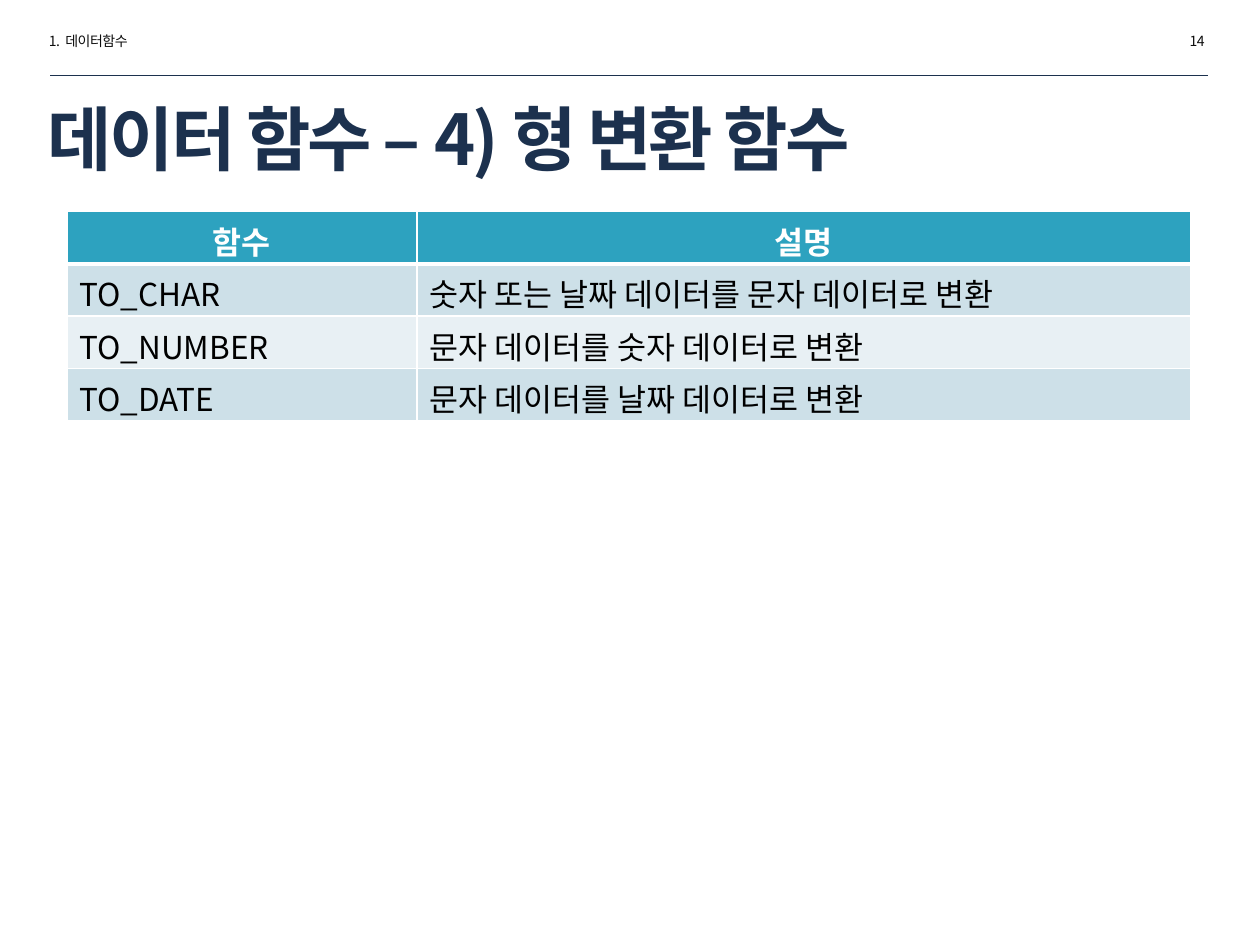
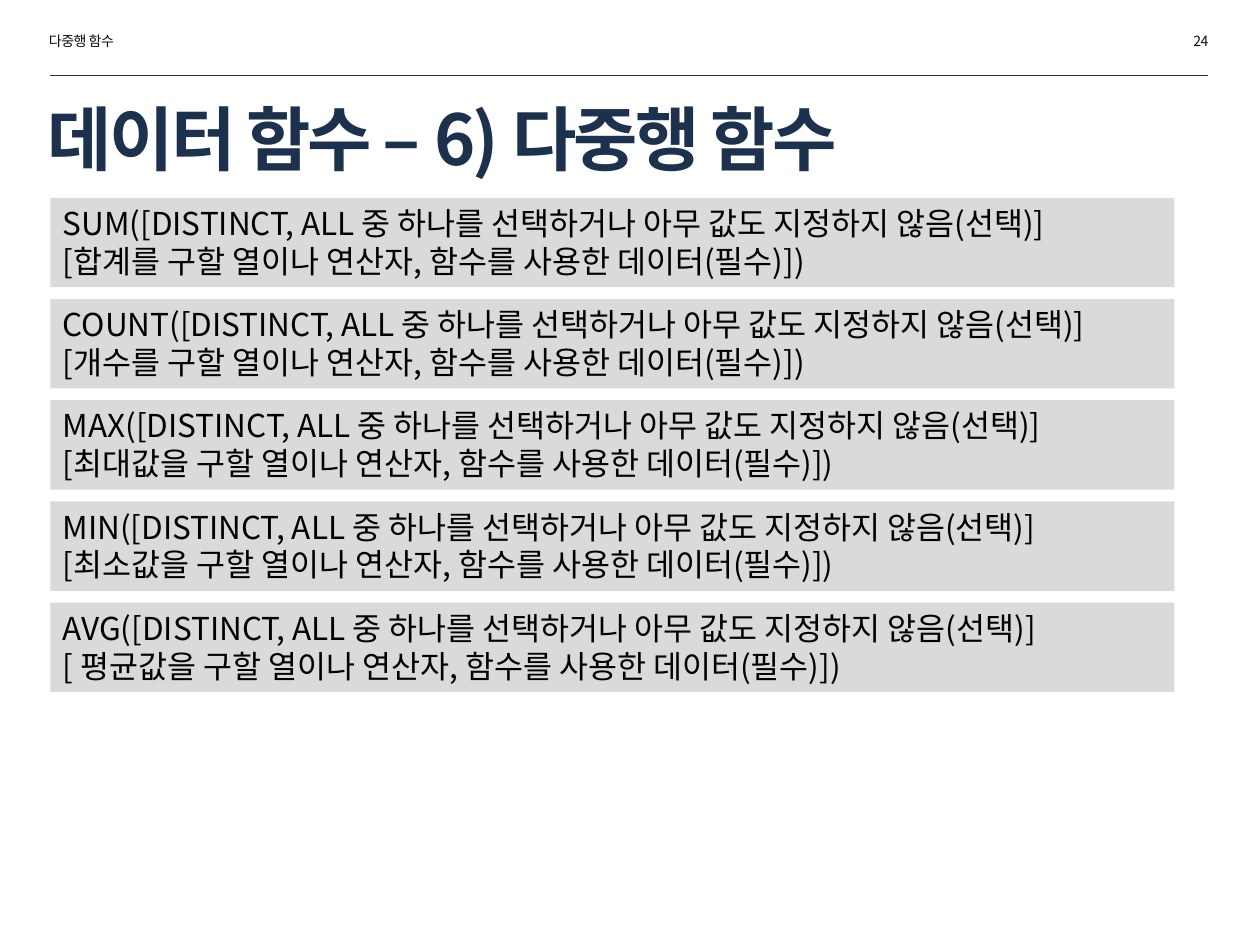
from dataclasses import dataclass
from pptx import Presentation
from pptx.dml.color import RGBColor
from pptx.enum.shapes import MSO_CONNECTOR, MSO_SHAPE
from pptx.enum.text import MSO_ANCHOR, PP_ALIGN
from pptx.oxml.ns import qn
from pptx.util import Inches, Pt
from lxml.etree import SubElement


@dataclass(frozen=True)
class Theme:
    face: str = "Noto Sans CJK KR"
    navy: str = "1C314E"
    ink: str = "0D0D0D"
    black: str = "000000"
    white: str = "FFFFFF"
    teal: str = "2DA2BF"
    bands: tuple = ("CDE0E8", "E8F0F4")
    gray: str = "DADADA"
    small: int = 8
    body: int = 18
    large: int = 40


class Deck:
    """Draws slides in one style, on a grid of 100 columns by 75 rows."""

    def __init__(self, theme):
        self.theme = theme
        self.file = Presentation()
        self.file.slide_width = Inches(10)
        self.file.slide_height = Inches(7.5)
        self.slide = None

    def grid(self, *cells):
        return [round(self.file.slide_width * n / 100) for n in cells]

    def words(self, frame, text, size, color, bold=False, align=PP_ALIGN.LEFT, track=0):
        frame.word_wrap = True
        frame.text = text
        for par in frame.paragraphs:
            par.alignment = align
            font = par.font
            font.name, font.size, font.bold = self.theme.face, Pt(size), bold
            font.color.rgb = RGBColor.from_string(color)
            props = par._p.pPr.find(qn("a:defRPr"))
            SubElement(props, qn("a:ea")).set("typeface", self.theme.face)
            if track:
                props.set("spc", str(round(track * 100)))

    def paint(self, item, color):
        item.fill.solid()
        item.fill.fore_color.rgb = RGBColor.from_string(color)

    def label(self, area, text, size, color, **style):
        box = self.slide.shapes.add_textbox(*self.grid(*area))
        box.text_frame.vertical_anchor = MSO_ANCHOR.MIDDLE if size > 20 else MSO_ANCHOR.TOP
        self.words(box.text_frame, text, size, color, **style)

    def rule(self, *ends):
        line = self.slide.shapes.add_connector(MSO_CONNECTOR.STRAIGHT, *self.grid(*ends))
        line.line.width = Pt(0.25)
        line.line.color.rgb = RGBColor.from_string(self.theme.navy)
        SubElement(line._element.spPr, qn("a:effectLst"))

    def page(self, title, topic, number, right):
        look = self.theme
        self.slide = self.file.slides.add_slide(self.file.slide_layouts[6])
        self.rule(4, 6, 95.9, 6)
        self.label((2.8, 7.7, 76.5, 6.4), title, look.large, look.navy, bold=True, track=-1.5)
        self.label((right - 17.3, 2.1, 17.3, 2.4), number, look.small, look.ink,
                   align=PP_ALIGN.RIGHT, track=-0.3)
        self.label((2.9, 2.1, 17.3, 2.4), topic, look.small, look.ink, track=-0.3)

    def panel(self, area, text):
        box = self.slide.shapes.add_shape(MSO_SHAPE.RECTANGLE, *self.grid(*area))
        box.shadow.inherit = False
        self.paint(box, self.theme.gray)
        box.line.fill.background()
        box.text_frame.vertical_anchor = MSO_ANCHOR.TOP
        self.words(box.text_frame, text, self.theme.body, self.theme.black)

    def edge(self, cell, sides):
        props = cell._tc.get_or_add_tcPr()
        for side, width in sides.items():
            line = SubElement(props, qn(f"a:ln{side}"), w=str(Pt(width)))
            fill = SubElement(line, qn("a:solidFill"))
            SubElement(fill, qn("a:srgbClr"), val=self.theme.white)

    def table(self, area, widths, rows):
        look = self.theme
        grid = self.slide.shapes.add_table(len(rows), len(widths), *self.grid(*area)).table
        for col, width in zip(grid.columns, self.grid(*widths)):
            col.width = width
        for r, row in enumerate(rows):
            head = r == 0
            for c, text in enumerate(row):
                cell = grid.cell(r, c)
                self.edge(cell, {"L": 1, "R": 1, "T": 3 if r == 1 else 1, "B": 3 if head else 1})
                self.paint(cell, look.teal if head else look.bands[(r - 1) % 2])
                cell.vertical_anchor = MSO_ANCHOR.TOP if head else MSO_ANCHOR.MIDDLE
                self.words(cell.text_frame, text, look.body, look.white if head else look.black,
                           bold=head, align=PP_ALIGN.CENTER if head else PP_ALIGN.LEFT)


deck = Deck(Theme())

deck.page("데이터 함수 – 4) 형 변환 함수", "1.  데이터함수", "14", 96.6)
deck.table((5.3, 16.8, 89.2, 16.6), (27.8, 61.4), [
    ("함수", "설명"),
    ("TO_CHAR", "숫자 또는 날짜 데이터를 문자 데이터로 변환"),
    ("TO_NUMBER", "문자 데이터를 숫자 데이터로 변환"),
    ("TO_DATE", "문자 데이터를 날짜 데이터로 변환"),
])

deck.page("데이터 함수 – 6) 다중행 함수", "다중행 함수", "24", 96.9)
sums = [("SUM", "합계를"), ("COUNT", "개수를"), ("MAX", "최대값을"),
        ("MIN", "최소값을"), ("AVG", " 평균값을")]
for i, (name, goal) in enumerate(sums):
    deck.panel((4, 15.7 + 8.03 * i, 89.2, 7.1),
               f"{name}([DISTINCT, ALL 중 하나를 선택하거나 아무 값도 지정하지 않음(선택)]\v"
               f"[{goal} 구할 열이나 연산자, 함수를 사용한 데이터(필수)])")

deck.file.save("out.pptx")
